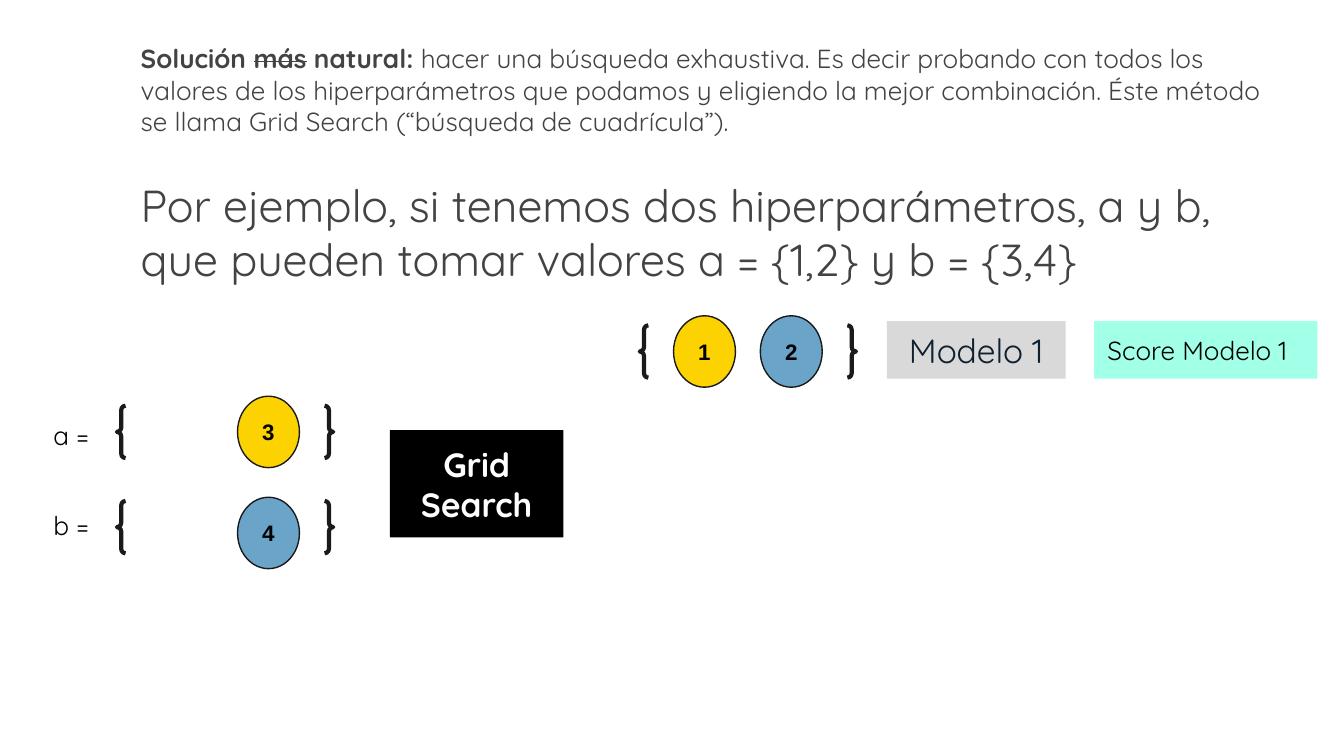
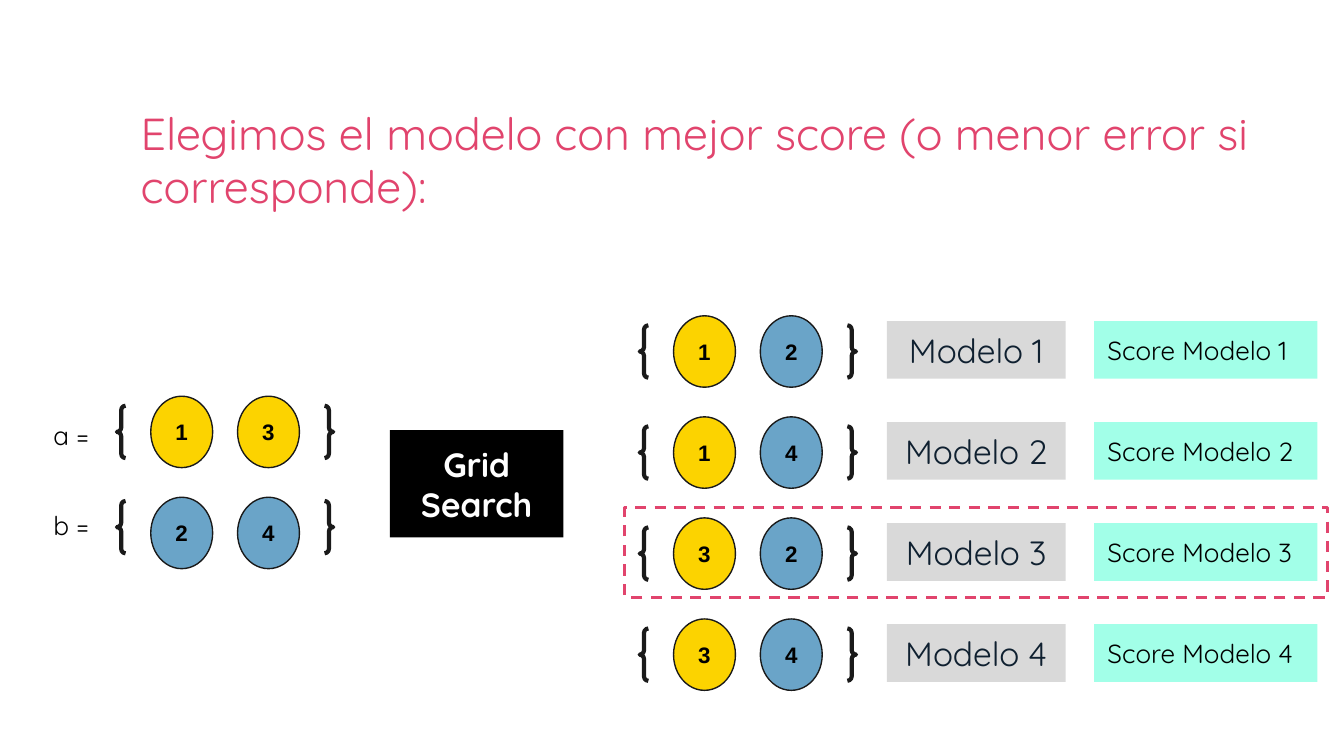
from itertools import product

from pptx import Presentation
from pptx.dml.color import RGBColor
from pptx.enum.dml import MSO_LINE
from pptx.enum.shapes import MSO_SHAPE
from pptx.enum.text import MSO_ANCHOR, PP_ALIGN
from pptx.util import Cm, Pt

COLORS = {
    "text": "434343", "accent": "E1446D", "black": "000000", "white": "FFFFFF",
    "outline": "1A1A1A", "a": "FCD300", "b": "6AA4C8",
    "model": "D9D9D9", "model_text": "0F2030", "score": "A2FFE8",
}
FONT = "Quicksand"
INSET = 0.25
BRACE_WIDTH, BRACE_HEIGHT = 4.09, 0.99
CIRCLE_WIDTH, CIRCLE_HEIGHT = 1.17, 1.35
CIRCLE_INDENT, CIRCLE_PITCH = 0.64, 1.64
ROW_PITCH = 1.91
HEADING_BOX = (2.41, 0.56, 21.79, 5.36)
GRID_SEARCH_BOX = (7.37, 8.13, 3.28, 2.03)
BRACE_LEFT, RESULTS_LEFT, RESULTS_TOP = 2.21, 12.09, 5.97
# parameter name: tops of its label, its braces and its circles
PARAMETER_ROWS = {"a": (7.67, 7.67, 7.49), "b": (9.37, 9.47, 9.4)}


def color(name):
    return RGBColor.from_string(COLORS[name])


def style_span(span, size, ink, bold=False, font=FONT):
    span.font.name = font
    span.font.size = Pt(size)
    span.font.bold = bold
    span.font.color.rgb = color(ink)


def set_frame(frame, top_inset=INSET, anchor=MSO_ANCHOR.TOP):
    frame.word_wrap = True
    frame.margin_left = frame.margin_right = frame.margin_bottom = Cm(INSET)
    frame.margin_top = Cm(top_inset)
    frame.vertical_anchor = anchor


def write(frame, text, size, ink, bold=False, font=FONT, align=PP_ALIGN.LEFT):
    frame.text = text
    para = frame.paragraphs[0]
    para.alignment = align
    style_span(para.runs[0], size, ink, bold, font)


def add_text_box(page, box, top_inset=INSET):
    frame = page.shapes.add_textbox(*map(Cm, box)).text_frame
    set_frame(frame, top_inset)
    return frame


def add_figure(shapes, kind, box, fill=None, line=None, width=0.75):
    figure = shapes.add_shape(kind, *map(Cm, box))
    figure.shadow.inherit = False
    if fill:
        figure.fill.solid()
        figure.fill.fore_color.rgb = color(fill)
    else:
        figure.fill.background()
    if line:
        figure.line.color.rgb = color(line)
        figure.line.width = Pt(width)
    else:
        figure.line.fill.background()
    return figure


def add_panel(page, box, fill, text, size, ink, bold=False, centred=True):
    """Filled rectangle with a caption, centred or at the top left."""
    frame = add_figure(page.shapes, MSO_SHAPE.RECTANGLE, box, fill).text_frame
    set_frame(frame, anchor=MSO_ANCHOR.MIDDLE if centred else MSO_ANCHOR.TOP)
    write(frame, text, size, ink, bold,
          align=PP_ALIGN.CENTER if centred else PP_ALIGN.LEFT)


def add_value_set(page, left, brace_top, circle_top, values):
    """Braces around circles; values are (parameter, number) or None for a gap."""
    shapes = page.shapes.add_group_shape().shapes
    add_figure(shapes, MSO_SHAPE.DOUBLE_BRACE,
               (left, brace_top, BRACE_WIDTH, BRACE_HEIGHT), line="outline", width=2.25)
    for place, value in enumerate(values):
        if value is None:
            continue
        parameter, number = value
        box = (left + CIRCLE_INDENT + place * CIRCLE_PITCH, circle_top,
               CIRCLE_WIDTH, CIRCLE_HEIGHT)
        circle = add_figure(shapes, MSO_SHAPE.OVAL, box, parameter, "outline")
        set_frame(circle.text_frame, anchor=MSO_ANCHOR.MIDDLE)
        write(circle.text_frame, str(number), 12, "black", True, "Arial", PP_ALIGN.CENTER)


def add_parameters(page, values):
    """Left side: the values of each parameter, and the search block."""
    add_panel(page, GRID_SEARCH_BOX, "black", "Grid Search", 18, "white", bold=True)
    for parameter, (label_top, brace_top, circle_top) in PARAMETER_ROWS.items():
        label = add_text_box(page, (0.76, label_top, 1.3, 0.99))
        write(label, f"{parameter} =", 14, "black")
        circles = [number and (parameter, number) for number in values[parameter]]
        add_value_set(page, BRACE_LEFT, brace_top, circle_top, circles)


def add_results(page, left, top, pairs, best=None):
    """Right side: one row per combination, with its model and score."""
    for index, (a, b) in enumerate(pairs):
        row_top = top + index * ROW_PITCH
        number = index + 1
        add_value_set(page, left, row_top + 0.18, row_top, [("a", a), ("b", b)])
        add_panel(page, (left + 4.67, row_top + 0.1, 3.38, 1.09), "model",
                  f"Modelo {number}", 18, "model_text")
        add_panel(page, (left + 8.59, row_top + 0.1, 4.22, 1.09), "score",
                  f"Score Modelo {number}", 14, "black", centred=False)
        if number == best:
            frame = add_figure(page.shapes, MSO_SHAPE.RECTANGLE,
                               (left - 0.28, row_top - 0.2, 13.28, 1.7),
                               line="accent", width=1.5)
            frame.line.dash_style = MSO_LINE.DASH


def add_example_heading(page, box):
    frame = add_text_box(page, box)
    intro = frame.paragraphs[0]
    pieces = [
        ("Solución ", True), ("más", True), (" natural:", True),
        (" hacer una búsqueda exhaustiva. Es decir probando con todos los valores de los "
         "hiperparámetros que podamos y eligiendo la mejor combinación. Éste método se "
         "llama Grid Search (“búsqueda de cuadrícula”).", False),
    ]
    for text, bold in pieces:
        span = intro.add_run()
        span.text = text
        style_span(span, 14, "text", bold)
    intro.runs[1].font._element.set("strike", "sngStrike")
    example = frame.add_paragraph()
    example.text = ("Por ejemplo, si tenemos dos hiperparámetros, a y b, "
                    "que pueden tomar valores a = {1,2} y b = {3,4}")
    example.space_before = Pt(22)
    style_span(example.runs[0], 24, "text")


def build_example(page):
    add_example_heading(page, HEADING_BOX)
    add_parameters(page, {"a": (None, 3), "b": (None, 4)})
    add_results(page, RESULTS_LEFT, RESULTS_TOP, [(1, 2)])


def build_choice(page):
    heading = add_text_box(page, HEADING_BOX, top_inset=1.43)
    write(heading, "Elegimos el modelo con mejor score (o menor error si corresponde):",
          24, "accent")
    values = {"a": (1, 3), "b": (2, 4)}
    add_parameters(page, values)
    add_results(page, RESULTS_LEFT, RESULTS_TOP, product(values["a"], values["b"]), best=3)


def main():
    deck = Presentation()
    deck.slide_width, deck.slide_height = Cm(25.4), Cm(14.29)
    for build in (build_example, build_choice):
        build(deck.slides.add_slide(deck.slide_layouts[6]))
    deck.save("out.pptx")


if __name__ == "__main__":
    main()
